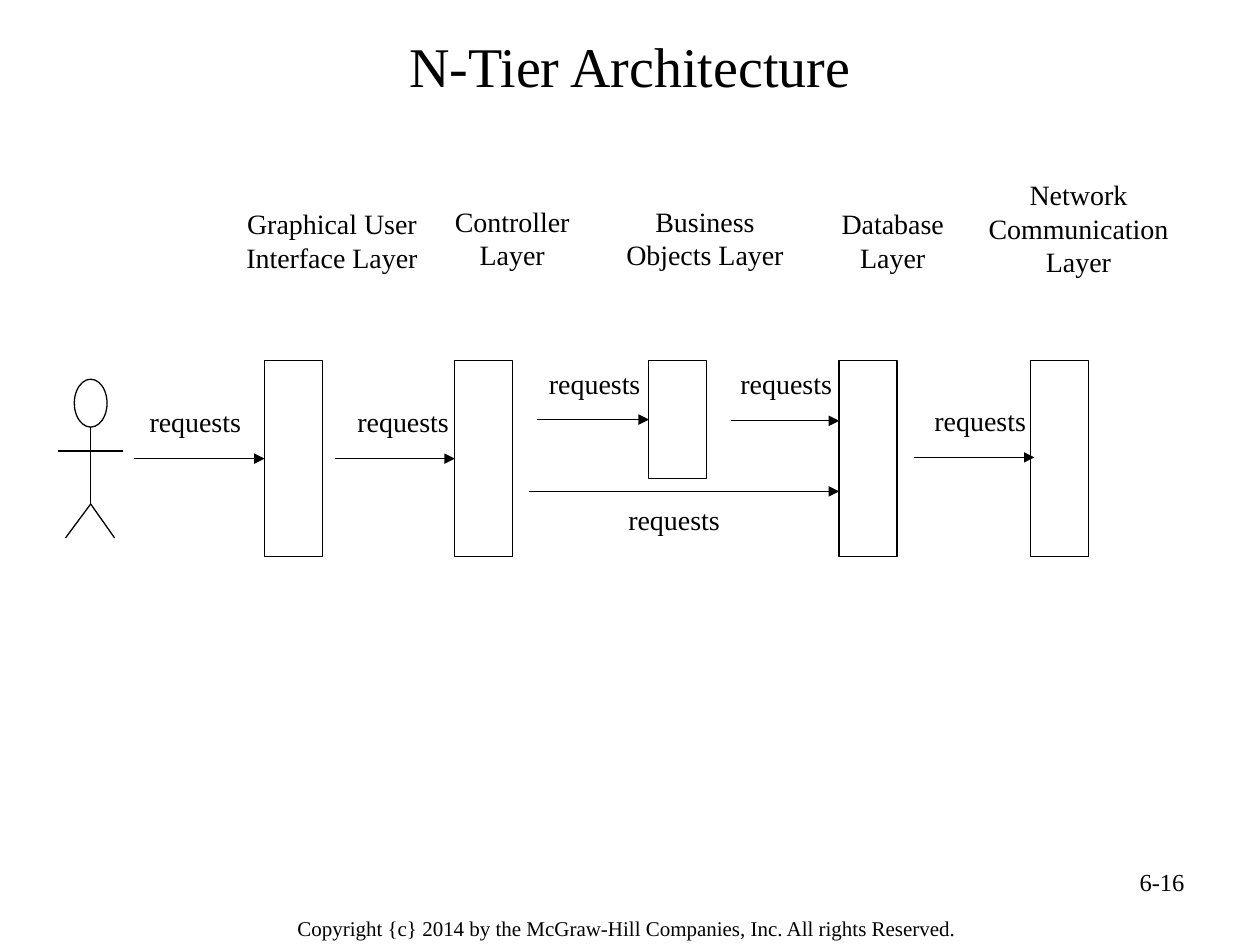
from dataclasses import dataclass

from lxml import etree
from pptx import Presentation
from pptx.dml.color import RGBColor
from pptx.enum.shapes import MSO_CONNECTOR, MSO_SHAPE
from pptx.enum.text import MSO_ANCHOR, PP_ALIGN
from pptx.oxml.ns import qn
from pptx.util import Pt

PX = 9144  # EMU in one px, at 100 px to the inch


@dataclass(frozen=True)
class Theme:
    font: str = "Times New Roman"
    ink: RGBColor = RGBColor(0, 0, 0)
    paper: RGBColor = RGBColor(255, 255, 255)
    title: int = 32
    label: int = 16
    number: int = 14
    footer: int = 12
    line: float = 0.75


THEME = Theme()


def write_text(shape, box, text, size, align=PP_ALIGN.CENTER):
    """Place a text shape at box (left, top, width, height) and fill it."""
    for name, value in zip(("left", "top", "width", "height"), box):
        setattr(shape, name, value * PX)
    frame = shape.text_frame
    frame.word_wrap = True
    frame.text = text
    paragraph = frame.paragraphs[0]
    paragraph.alignment = align
    font_format = {"name": THEME.font, "size": Pt(size)}
    for name, value in font_format.items():
        setattr(paragraph.font, name, value)
    paragraph.font.color.rgb = THEME.ink


def add_line(shapes, ends, arrow=False):
    """Draw a straight line through ends (x1, y1, x2, y2)."""
    connector = shapes.add_connector(MSO_CONNECTOR.STRAIGHT, *(end * PX for end in ends))
    connector.line.color.rgb = THEME.ink
    connector.line.width = Pt(THEME.line)
    if arrow:
        etree.SubElement(connector.line._get_or_add_ln(), qn("a:tailEnd"), type="triangle")
    etree.SubElement(connector._element.spPr, qn("a:effectLst"))
    return connector


presentation = Presentation()
presentation.slide_width = 1000 * PX
presentation.slide_height = 750 * PX
slide = presentation.slides.add_slide(presentation.slide_layouts[5])
shapes = slide.shapes

# Title, footer and slide number
title = shapes.title
write_text(title, (50, 14, 900, 75), "N-Tier Architecture", THEME.title)
title.text_frame.vertical_anchor = MSO_ANCHOR.MIDDLE

write_text(shapes.add_textbox(0, 0, 0, 0), (188, 722, 619, 31),
           "Copyright {c} 2014 by the McGraw-Hill Companies, Inc. All rights Reserved.",
           THEME.footer)
write_text(shapes.add_textbox(0, 0, 0, 0), (717, 683, 233, 52), "6-16",
           THEME.number, PP_ALIGN.RIGHT)

# Layer names: text, box
layer_names = [
    ("Graphical User Interface Layer", (177, 159, 173, 88)),
    ("Controller Layer", (347, 157, 119, 89)),
    ("Business Objects Layer", (477, 157, 165, 89)),
    ("Database Layer", (639, 159, 139, 88)),
    ("Network Communication Layer", (768, 136, 176, 131)),
]
request_places = [(103, 316), (268, 316), (420, 286), (572, 286), (726, 315), (483, 394)]
labels = layer_names + [("requests", (left, top, 104, 53)) for left, top in request_places]
for text, box in labels:
    write_text(shapes.add_textbox(0, 0, 0, 0), box, text, THEME.label)

# Actor
actor = shapes.add_group_shape()
head = actor.shapes.add_shape(MSO_SHAPE.OVAL, 59 * PX, 301 * PX, 26 * PX, 38 * PX)
for limb in [(46, 358, 98, 358), (72, 339, 72, 400), (72, 400, 52, 427), (72, 400, 91, 427)]:
    add_line(actor.shapes, limb)

# Layer bars: left, height
bar_places = {
    "gui": (210, 156),
    "controller": (361, 156),
    "business": (515, 94),
    "database": (666, 156),
    "network": (818, 156),
}
bars = {
    name: shapes.add_shape(MSO_SHAPE.RECTANGLE, left * PX, 286 * PX, 46 * PX, height * PX)
    for name, (left, height) in bar_places.items()
}
for shape in [head, *bars.values()]:
    shape.shadow.inherit = False
    shape.fill.solid()
    shape.fill.fore_color.rgb = THEME.paper
    shape.line.color.rgb = THEME.ink
    shape.line.width = Pt(THEME.line)

# Request arrows: ends, bar joined at the middle of its left side
arrows = [
    ((106, 364, 210, 364), "gui"),
    ((266, 364, 361, 364), "controller"),
    ((426, 333, 515, 333), "business"),
    ((580, 334, 666, 334), None),
    ((420, 390, 666, 390), None),
    ((725, 363, 821, 363), None),
]
for ends, target in arrows:
    arrow = add_line(shapes, ends, arrow=True)
    if target:
        arrow.end_connect(bars[target], 1)

presentation.save("out.pptx")
